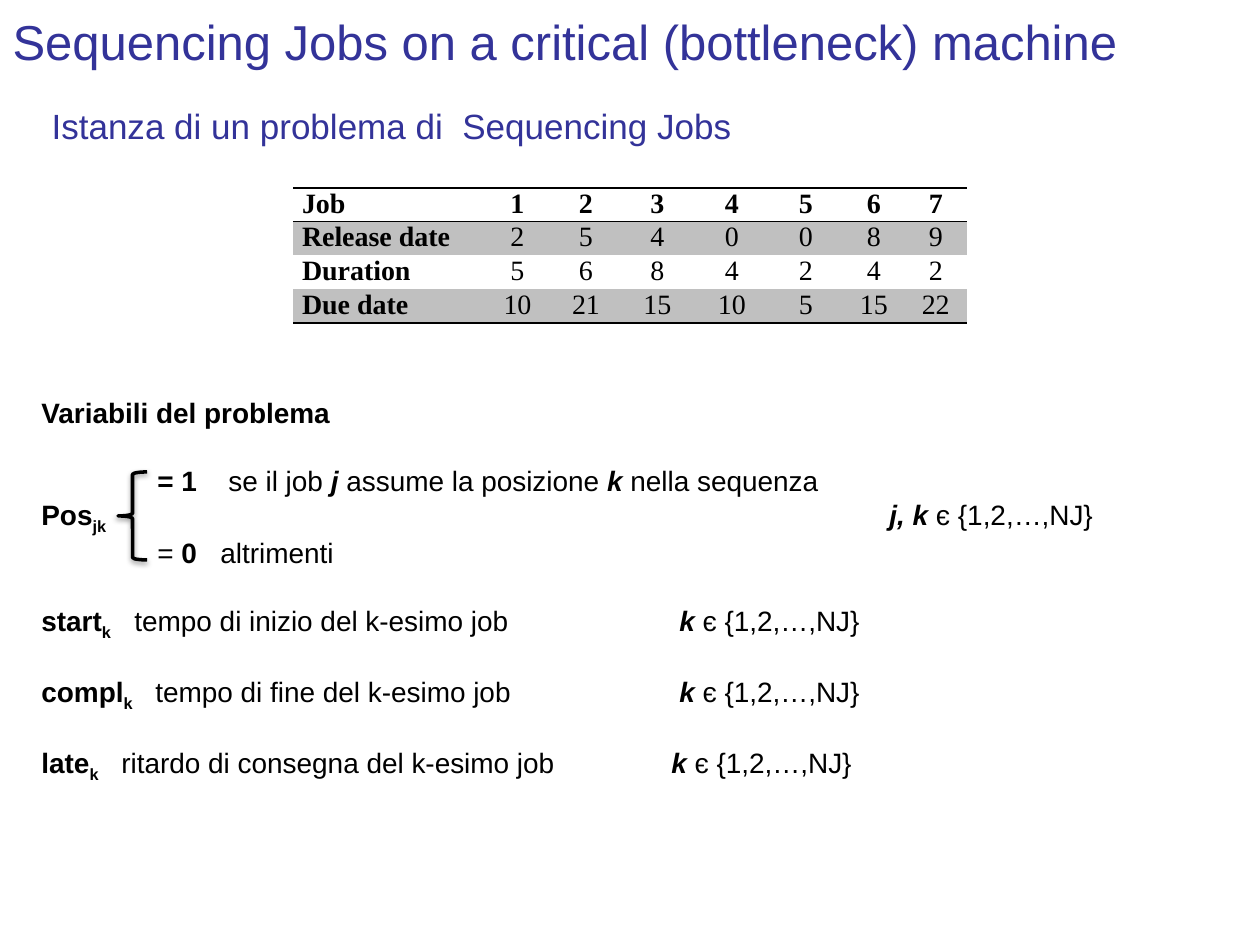
from lxml import etree
from pptx import Presentation
from pptx import util as u
from pptx.dml import color
from pptx.enum import shapes, text
from pptx.oxml import ns

SCALE = 914400 / 126
INK, BLUE, GREY = "000000", "333399", "C0C0C0"
PLAIN = "{2D5ABB26-0587-4C30-8999-92F81FD0307C}"
COLS = [190, 69, 68, 75, 74, 74, 62, 62]
JOBS = [
    ["Job", 1, 2, 3, 4, 5, 6, 7],
    ["Release date", 2, 5, 4, 0, 0, 8, 9],
    ["Duration", 5, 6, 8, 4, 2, 4, 2],
    ["Due date", 10, 21, 15, 10, 5, 15, 22],
]
LOOKS = {
    "n": {"bold": False},
    "b": {"bold": True},
    "i": {"bold": True, "italic": True},
    "s": {"bold": True},
}
SET = " є {1,2,…,NJ}"


def px(num):
    """Turn px into EMU."""
    return u.Emu(round(num * SCALE))


def rgb(code):
    """Turn a hex string into a colour."""
    return color.RGBColor.from_string(code)


def apply(item, vals):
    """Set attributes from a dict."""
    for key, val in vals.items():
        setattr(item, key, val)


def place(item, box):
    """Move a shape to a px box."""
    apply(item, dict(zip(("left", "top", "width", "height"), map(px, box))))


def sub(node, tag, **vals):
    """Add a drawing child element."""
    return etree.SubElement(node, ns.qn("a:" + tag), vals)


def write(para, words, size, face="Arial", ink=INK, look="n"):
    """Add one formatted run."""
    run = para.add_run()
    run.text = words
    apply(run.font, {"size": u.Pt(size), "name": face, **LOOKS[look]})
    run.font.color.rgb = rgb(ink)
    if look == "s":
        run.font._element.set("baseline", "-25000")


def heads(slide, box):
    """Place the title and the line below it."""
    left, top, wide, high = box
    title, note = slide.shapes.title, slide.placeholders[1]
    place(title, box)
    place(note, (left + 39, top + 102, wide - 108, 59))
    rows = [
        (title, "Sequencing Jobs on a critical (bottleneck) machine", 28,
         text.MSO_ANCHOR.MIDDLE),
        (note, "Istanza di un problema di  Sequencing Jobs", 20,
         text.MSO_ANCHOR.TOP),
    ]
    for item, words, size, anchor in rows:
        frame = item.text_frame
        apply(frame, {"word_wrap": True, "vertical_anchor": anchor,
                      "auto_size": text.MSO_AUTO_SIZE.NONE})
        para = frame.paragraphs[0]
        apply(para, {"alignment": text.PP_ALIGN.LEFT,
                     "space_before": u.Pt(0)})
        props = para._p.get_or_add_pPr()
        for key in ("marL", "indent"):
            props.set(key, "0")
        sub(props, "buNone")
        write(para, words, size, ink=BLUE)


def rule(cell, side, drawn):
    """Draw or clear the border on one side of a cell."""
    line = etree.Element(ns.qn("a:" + side), w="12700")
    if drawn:
        sub(sub(line, "solidFill"), "srgbClr", val=INK)
    else:
        sub(line, "noFill")
    cell._tc.get_or_add_tcPr().insert(0, line)


def grid(slide, box):
    """Place the table of jobs."""
    frame = slide.shapes.add_table(len(JOBS), len(COLS), *map(px, box))
    table = frame.table
    apply(table, {"first_row": False, "horz_banding": False})
    table._tbl.tblPr.find(ns.qn("a:tableStyleId")).text = PLAIN
    for col, wide in zip(table.columns, COLS):
        col.width = px(wide)
    for y, row in enumerate(JOBS):
        for x, val in enumerate(row):
            cell = table.cell(y, x)
            apply(cell, {"margin_left": px(9), "margin_right": px(9),
                         "margin_top": 0, "margin_bottom": 0})
            if y % 2:
                cell.fill.solid()
                cell.fill.fore_color.rgb = rgb(GREY)
            else:
                cell.fill.background()
            rule(cell, "lnB", y == len(JOBS) - 1)
            rule(cell, "lnT", y < 2)
            para = cell.text_frame.paragraphs[0]
            para.alignment = (text.PP_ALIGN.CENTER if x
                              else text.PP_ALIGN.LEFT)
            write(para, str(val), 16, "Times New Roman",
                  look="n" if x and y else "b")


def term(name, words, gap, stops):
    """Describe one variable of the sequence."""
    return gap, stops, [(name, "b"), ("k", "s"), ("\t" + words + "\t", "n"),
                        ("k", "i"), (SET, "n")]


def brace(slide, box):
    """Place the brace beside the two cases."""
    item = slide.shapes.add_shape(shapes.MSO_SHAPE.LEFT_BRACE, *map(px, box))
    item.fill.background()
    item.line.color.rgb = rgb(INK)
    item.line.width = u.Pt(2)
    item.shadow.inherit = False
    glow = item._element.spPr.find(ns.qn("a:effectLst"))
    cast = sub(glow, "outerShdw", blurRad="39370", dist="20320",
               dir="5400000", rotWithShape="0")
    sub(sub(cast, "srgbClr", val=INK), "alpha", val="38000")


def terms(slide, box):
    """Place the list of variables with its brace."""
    left, top = box[:2]
    frame = slide.shapes.add_textbox(*map(px, box)).text_frame
    apply(frame, {"word_wrap": True, "auto_size": text.MSO_AUTO_SIZE.NONE})
    rows = [
        (0, [], [("Variabili del problema", "b")]),
        (35, [116, 187], [("\t= 1\t", "b"), ("se il job ", "n"), ("j", "i"),
                          (" assume la posizione ", "n"), ("k", "i"),
                          (" nella sequenza", "n")]),
        (0, [848], [("Pos", "b"), ("jk", "s"), ("\t", "n"), ("j, k", "i"),
                    (SET, "n")]),
        (0, [116, 179], [("\t= ", "n"), ("0", "b"), ("\taltrimenti", "n")]),
        term("start", "tempo di inizio del k-esimo job", 34, [93, 638]),
        term("compl", "tempo di fine del k-esimo job", 33, [114, 638]),
        term("late", "ritardo di consegna del k-esimo job", 33, [80, 630]),
    ]
    for n, (gap, stops, runs) in enumerate(rows):
        para = frame.add_paragraph() if n else frame.paragraphs[0]
        apply(para, {"space_before": px(gap),
                     "alignment": text.PP_ALIGN.LEFT})
        if stops:
            tabs = sub(para._p.get_or_add_pPr(), "tabLst")
            for stop in stops:
                sub(tabs, "tab", pos=str(int(px(stop))), algn="l")
        for words, look in runs:
            write(para, words, 16, look=look)
    brace(slide, (left + 89, top + 83, 29, 88))


def main():
    """Build the slide and save it."""
    deck = Presentation()
    apply(deck, {"slide_width": px(1260), "slide_height": px(945)})
    slide = deck.slides.add_slide(deck.slide_layouts[1])
    heads(slide, (0, -4, 1260, 89))
    grid(slide, (293, 188, sum(COLS), 135))
    terms(slide, (29, 389, 1201, 420))
    deck.save("out.pptx")


if __name__ == "__main__":
    main()
